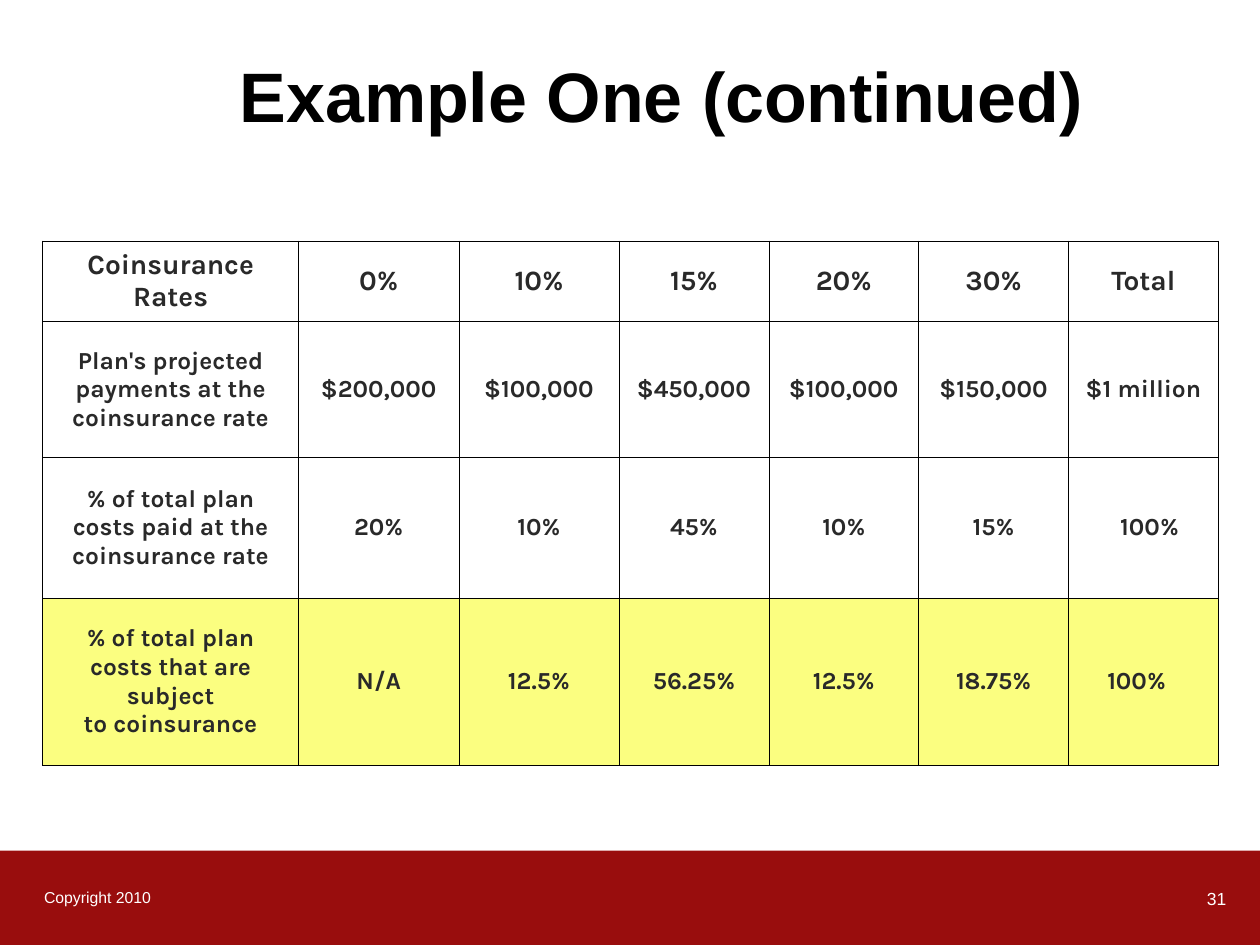
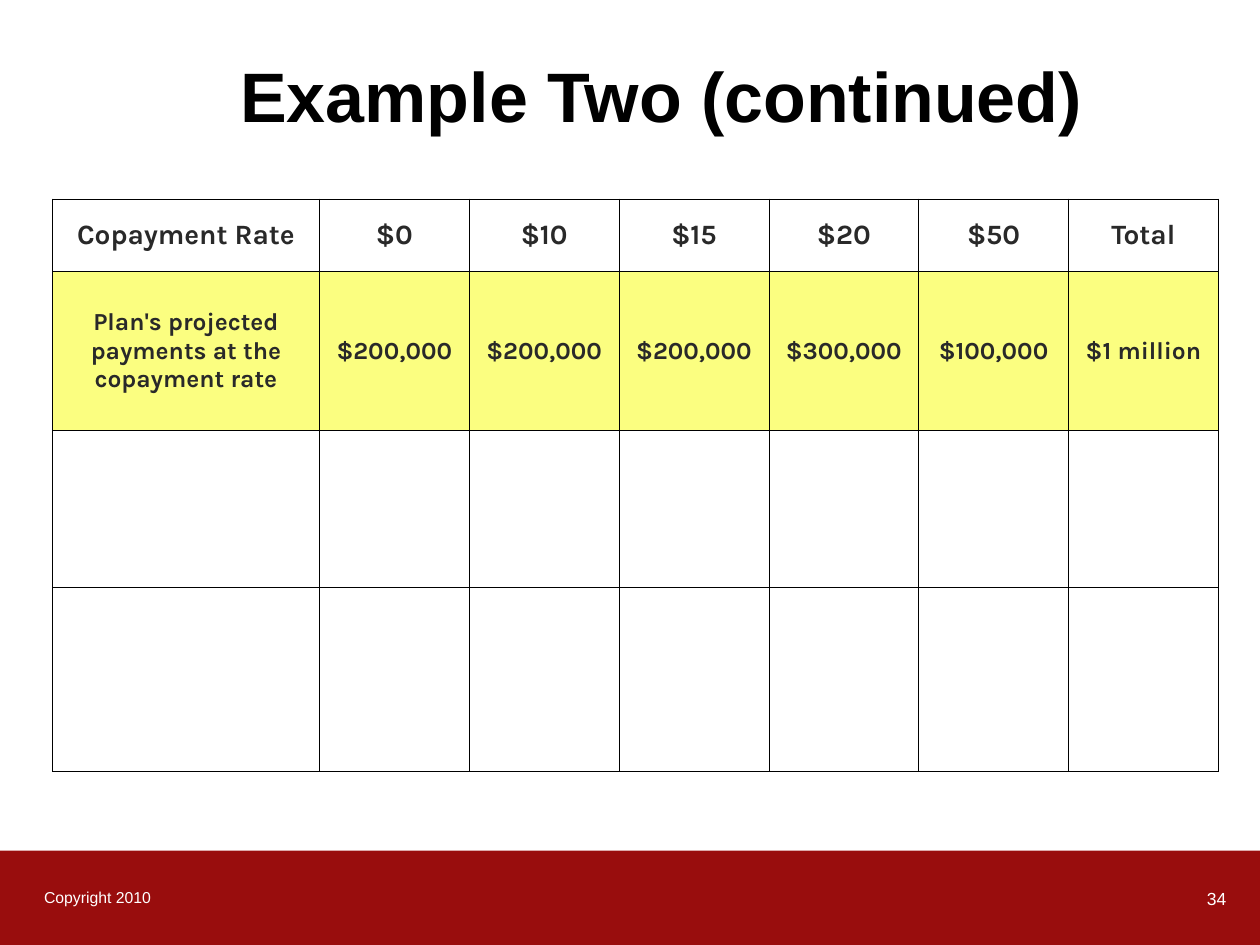
"""Build two slides of cost-sharing example tables."""
import lxml.etree
import pptx
import pptx.dml.color
import pptx.enum.shapes
import pptx.enum.text
import pptx.oxml.ns
import pptx.util

Cm, Pt = pptx.util.Cm, pptx.util.Pt
ALIGN = pptx.enum.text.PP_ALIGN
ANCHOR = pptx.enum.text.MSO_ANCHOR

RED, WHITE, BLACK, INK, YELLOW = "990D0D", "FFFFFF", "000000", "292929", "FBFE80"
FOOTER = "Copyright 2010"
TABLE_RIGHT = 24.56
STYLES = {
    "title": {"name": "Arial", "size": Pt(40), "bold": True, "color": BLACK},
    "footer": {"name": "Arial", "size": Pt(9), "color": WHITE},
    "number": {"name": "Arial", "size": Pt(10), "color": WHITE},
    "head": {"name": "Karla", "size": Pt(16), "bold": True, "color": INK},
    "body": {"name": "Karla", "size": Pt(14), "bold": True, "color": INK},
}

SLIDES = [
    {
        "title": "Example One (continued)",
        "number": "31",
        "top": 4.86,
        "cols": [5.16] + [3.23] * 2 + [3.02] * 4,
        "heights": [1.62, 2.74, 2.84, 3.36],
        "highlight": 3,
        "margins": {(2, 6): {"margin_left": Cm(0.5)}, (3, 6): {"margin_right": Cm(0.53)}},
        "rows": [
            ["Coinsurance Rates", "0%", "10%", "15%", "20%", "30%", "Total"],
            ["Plan's projected payments at the coinsurance rate", "$200,000", "$100,000",
             "$450,000", "$100,000", "$150,000", "$1 million"],
            ["% of total plan costs paid at the coinsurance rate", "20%", "10%", "45%",
             "10%", "15%", "100%"],
            ["% of total plan\ncosts that are subject\nto coinsurance", "N/A", "12.5%",
             "56.25%", "12.5%", "18.75%", "100%"],
        ],
    },
    {
        "title": "Example Two (continued)",
        "number": "34",
        "top": 4.01,
        "cols": [5.38] + [3.02] * 6,
        "heights": [1.47, 3.19, 3.18, 3.69],
        "highlight": 1,
        "margins": {},
        "rows": [
            ["Copayment Rate", "$0", "$10", "$15", "$20", "$50", "Total"],
            ["Plan's projected payments at the copayment rate", "$200,000", "$200,000",
             "$200,000", "$300,000", "$100,000", "$1 million"],
            [""] * 7,
            [""] * 7,
        ],
    },
]


def rgb(value):
    """Turn a hex string into a colour."""
    return pptx.dml.color.RGBColor.from_string(value)


def write(tf, text, style, align):
    """Fill the first paragraph of a text frame in a named style."""
    p = tf.paragraphs[0]
    p.text = text
    p.alignment = align
    for r in p.runs:
        for key, value in STYLES[style].items():
            if key == "color":
                r.font.color.rgb = rgb(value)
            else:
                setattr(r.font, key, value)


def add_text(s, box, text, style, align, anchor=ANCHOR.TOP):
    """Add a wrapping text box."""
    tf = s.shapes.add_textbox(*map(Cm, box)).text_frame
    tf.word_wrap = True
    tf.vertical_anchor = anchor
    write(tf, text, style, align)


def add_frame(s, title, number):
    """Add the band, footer, slide number and title."""
    sp = s.shapes.add_shape(pptx.enum.shapes.MSO_SHAPE.RECTANGLE,
                            Cm(0), Cm(17.15), Cm(25.4), Cm(1.9))
    sp.shadow.inherit = False
    sp.fill.solid()
    sp.fill.fore_color.rgb = rgb(RED)
    sp.line.fill.background()
    add_text(s, (0.64, 17.78, 5.28, 0.64), FOOTER, "footer", ALIGN.LEFT)
    add_text(s, (19.69, 17.78, 5.28, 0.84), number, "number", ALIGN.RIGHT)
    add_text(s, (2.75, 0.2, 21.16, 2.67), title, "title", ALIGN.CENTER, ANCHOR.BOTTOM)


def set_borders(cell):
    """Draw a thin black line on every side of a cell."""
    qn = pptx.oxml.ns.qn
    tc_pr = cell._tc.get_or_add_tcPr()
    for i, side in enumerate(("a:lnL", "a:lnR", "a:lnT", "a:lnB")):
        ln = lxml.etree.Element(qn(side), w=str(Pt(0.45)))
        fill = lxml.etree.SubElement(ln, qn("a:solidFill"))
        lxml.etree.SubElement(fill, qn("a:srgbClr"), val=BLACK)
        tc_pr.insert(i, ln)


def add_rates_table(s, data):
    """Add a table that ends at the shared right edge."""
    rows, cols, heights = data["rows"], data["cols"], data["heights"]
    box = TABLE_RIGHT - sum(cols), data["top"], sum(cols), sum(heights)
    table = s.shapes.add_table(len(rows), len(cols), *map(Cm, box)).table
    table.first_row = table.horz_banding = False
    for col, width in zip(table.columns, cols):
        col.width = Cm(width)
    for i, texts in enumerate(rows):
        table.rows[i].height = Cm(heights[i])
        for j, text in enumerate(texts):
            cell = table.cell(i, j)
            cell.vertical_anchor = ANCHOR.MIDDLE
            for key, value in data["margins"].get((i, j), {}).items():
                setattr(cell, key, value)
            cell.fill.solid()
            cell.fill.fore_color.rgb = rgb(YELLOW if i == data["highlight"] else WHITE)
            set_borders(cell)
            write(cell.text_frame, text, "body" if i else "head", ALIGN.CENTER)


def main():
    """Build and save the presentation."""
    prs = pptx.Presentation()
    prs.slide_width, prs.slide_height = Cm(25.4), Cm(19.05)
    for data in SLIDES:
        s = prs.slides.add_slide(prs.slide_layouts[6])
        add_frame(s, data["title"], data["number"])
        add_rates_table(s, data)
    prs.save("out.pptx")


if __name__ == "__main__":
    main()
